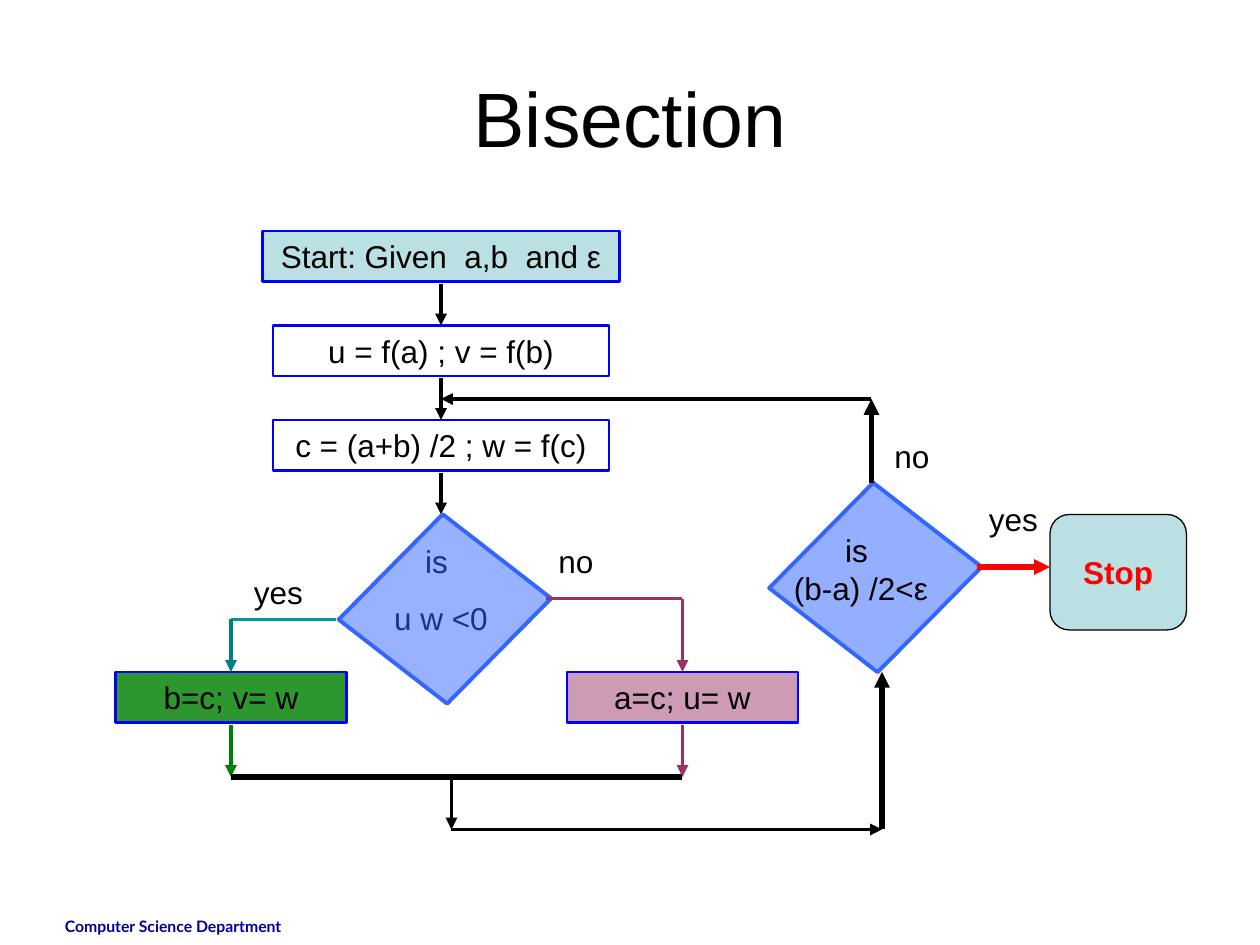
from lxml import etree
from pptx import Presentation
from pptx import util as u
from pptx.dml.color import RGBColor
from pptx.enum import shapes, text
from pptx.oxml.ns import qn

COLORS = {
    "black": "000000", "blue": "0000FF", "aqua": "BBE0E3", "azure": "3366FF",
    "plum": "993366", "green": "008000", "teal": "008080",
    "turquoise": "009999", "red": "FF0000", "navy": "000099",
}
CENTER = text.PP_ALIGN.CENTER
LEFT = text.PP_ALIGN.LEFT


def rgb(name):
    return RGBColor.from_string(COLORS[name])


def write(tf, content, size=18, font="Arial", color="black", bold=False,
          align=CENTER, anchor=text.MSO_ANCHOR.TOP, gap=0):
    """Fill a text frame, one paragraph a line, with gap points between them."""
    tf.word_wrap = True
    tf.vertical_anchor = anchor
    for i, line in enumerate(content.split("\n")):
        p = tf.paragraphs[0] if i == 0 else tf.add_paragraph()
        p.alignment = align
        if i:
            p.space_before = u.Pt(gap)
        r = p.add_run()
        r.text = line
        r.font.size = u.Pt(size)
        r.font.name = font
        r.font.bold = bold
        r.font.color.rgb = rgb(color)


class Flowchart:
    """Draws the parts of a flowchart on one slide; lengths are in points."""

    def __init__(self, slide, line_width=2.25, box_height=28.8):
        self.s = slide
        self.line_width = line_width
        self.box_height = box_height

    def title(self, content):
        sp = self.s.shapes.title
        sp.left, sp.top, sp.width, sp.height = map(u.Pt, (36, 21.6, 648, 90))
        write(sp.text_frame, content, size=44, anchor=text.MSO_ANCHOR.MIDDLE)

    def shape(self, kind, x, y, w, h, fill, line, width, alpha=100):
        sp = self.s.shapes.add_shape(kind, *map(u.Pt, (x, y, w, h)))
        sp.shadow.inherit = False
        if fill:
            sp.fill.solid()
            sp.fill.fore_color.rgb = rgb(fill)
            if alpha < 100:
                color = sp._element.spPr.find(qn("a:solidFill"))[0]
                etree.SubElement(color, qn("a:alpha"), val=str(alpha * 1000))
        else:
            sp.fill.background()
        sp.line.color.rgb = rgb(line)
        sp.line.width = u.Pt(width)
        return sp

    def step(self, content, center, y, w, fill=None, alpha=100):
        sp = self.shape(shapes.MSO_SHAPE.RECTANGLE, center - w / 2, y, w,
                        self.box_height, fill, "blue", 1.5, alpha)
        write(sp.text_frame, content)

    def decision(self, x, y, alpha):
        sp = self.shape(shapes.MSO_SHAPE.PARALLELOGRAM, x, y, 88.5, 84,
                        "azure", "azure", self.line_width, alpha)
        sp.adjustments[0] = 0.12
        sp.rotation = 37.8

    def terminal(self, content, x, y, w, h):
        sp = self.shape(shapes.MSO_SHAPE.ROUNDED_RECTANGLE, x, y, w, h,
                        "aqua", "black", 0.75)
        write(sp.text_frame, content, color="red", bold=True,
              anchor=text.MSO_ANCHOR.MIDDLE)

    def label(self, content, x, y, w=78, h=28.8, **fmt):
        sp = self.s.shapes.add_textbox(*map(u.Pt, (x, y, w, h)))
        write(sp.text_frame, content, **fmt)

    def line(self, start, end, color="black", width=None, arrow=True):
        cx = self.s.shapes.add_connector(shapes.MSO_CONNECTOR.STRAIGHT,
                                         *map(u.Pt, start + end))
        cx.line.color.rgb = rgb(color)
        cx.line.width = u.Pt(width or self.line_width)
        if arrow:
            etree.SubElement(cx.line._get_or_add_ln(), qn("a:tailEnd"),
                             type="triangle")
        etree.SubElement(cx._element.spPr, qn("a:effectLst"))


def main():
    prs = Presentation()
    prs.slide_width, prs.slide_height = u.Pt(720), u.Pt(540)
    chart = Flowchart(prs.slides.add_slide(prs.slide_layouts[5]))
    chart.title("Bisection")
    chart.label("Computer Science Department", 30, 520.5, 168, 19.5, size=9,
                font="Lato", color="navy", bold=True, align=LEFT)

    # Main column
    main_x, top, pitch = 252, 132, 54
    steps = [("Start: Given  a,b  and ε", 204, "aqua"),
             ("u = f(a) ; v = f(b)", 192, None),
             ("c = (a+b) /2 ; w = f(c)", 192, None)]
    for i, (content, w, fill) in enumerate(steps):
        y = top + i * pitch
        chart.step(content, main_x, y, w, fill)
        chart.line((main_x, y + 30), (main_x, y + pitch))

    # Sign test and its two branches
    chart.label("is \nu w <0", 216, 306, 72, 62, gap=11.2)
    chart.decision(210, 306, 50)
    yes_x, no_x, branch_y, join_y = 132, 390, 384, 444
    branches = [
        ("b=c; v= w", yes_x, 192, 354, "green", 82, "turquoise", "teal"),
        ("a=c; u= w", no_x, 312, 342, "plum", 49, "plum", "plum")]
    for content, x, from_x, y, fill, alpha, across, down in branches:
        chart.step(content, x, branch_y, 132, fill, alpha)
        chart.line((from_x, y), (x, y), across, arrow=False)
        chart.line((x, y), (x, branch_y), down)
        chart.line((x, branch_y + 30), (x, join_y), fill)

    # Joined path to the tolerance test
    join_x, low_y, test_x = 258, 474, 504
    chart.line((yes_x, join_y), (no_x, join_y), width=3, arrow=False)
    chart.line((join_x, join_y), (join_x, low_y))
    chart.line((join_x, low_y), (test_x, low_y))
    chart.line((test_x, low_y), (test_x, branch_y), width=3)

    # Tolerance test, loop back and stop
    chart.decision(456, 288, 52)
    chart.label("is \n(b-a) /2<ε", 444, 300, 96, 50.4)
    loop_x, loop_y = 498, 228
    chart.line((loop_x, 276), (loop_x, loop_y), width=3)
    chart.line((loop_x, loop_y), (main_x, loop_y))
    chart.terminal("Stop", 600, 294, 78, 66)
    chart.line((558, 324), (600, 324), "red", 3)

    for content, x, y in [("yes", 138, 324), ("no", 312, 306),
                          ("yes", 558, 282), ("no", 504, 246)]:
        chart.label(content, x, y, align=LEFT)

    prs.save("out.pptx")


if __name__ == "__main__":
    main()
